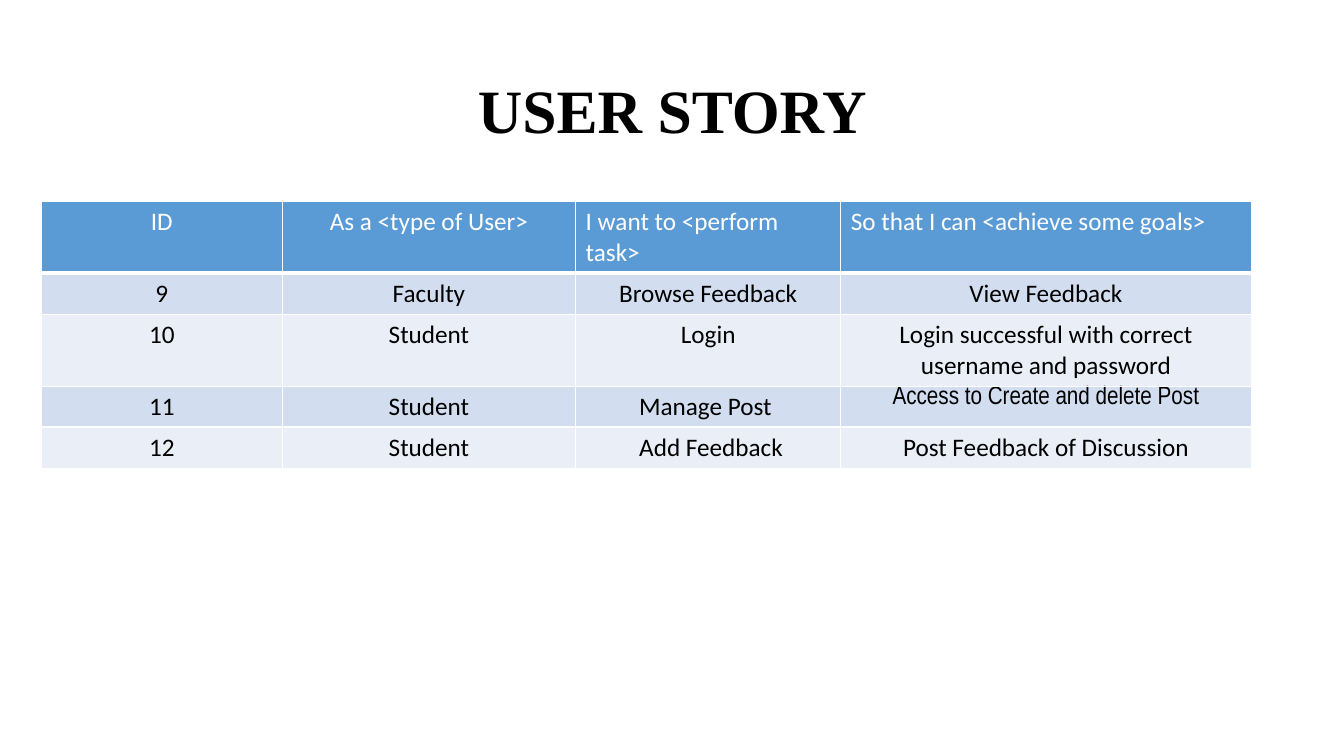
from lxml import etree
from pptx import Presentation
from pptx import util as u
from pptx.dml.color import RGBColor
from pptx.enum import text
from pptx.oxml.ns import qn

WHITE, BLACK, BLUE = "FFFFFF", "000000", "5B9BD5"
BANDS = ("D2DEEF", "EAEFF7")
COLUMN_WIDTHS = (2.39, 2.91, 2.63, 4.07)
ROW_HEIGHTS = (0.41, 0.41, 0.41, 0.23, 0.41)
STORIES = (
    ("ID", "As a <type of User>", "I want to <perform task>",
     "So that I can <achieve some goals>"),
    ("9", "Faculty", "Browse Feedback", "View Feedback"),
    ("10", "Student", "Login",
     "Login successful with correct username and password"),
    ("11", "Student", "Manage Post ", "Access to Create and delete Post"),
    ("12", "Student", " Add Feedback", "Post Feedback of Discussion"),
)
NARROW_CELL = (3, 3)


def colour(value):
    """Turn a hex string into a colour."""
    return RGBColor.from_string(value)


def write(frame, words, font, size, ink, align, bold=False):
    """Put one formatted run in the first paragraph of a text frame."""
    para = frame.paragraphs[0]
    para.alignment = align
    span = para.add_run()
    span.text = words
    span.font.name = font
    span.font.size = u.Pt(size)
    span.font.bold = bold
    span.font.color.rgb = colour(ink)
    return para


def add_borders(cell, bottom):
    """Draw white cell borders, with the bottom width in points."""
    properties = cell._tc.get_or_add_tcPr()
    for side, width in (("L", 1), ("R", 1), ("T", 1), ("B", bottom)):
        line = etree.SubElement(properties, qn(f"a:ln{side}"), w=str(u.Pt(width)))
        fill = etree.SubElement(line, qn("a:solidFill"))
        etree.SubElement(fill, qn("a:srgbClr"), val=WHITE)


def add_title(page, left, top, width, height):
    """Place the slide title in the given box."""
    title = page.shapes.title
    title.left, title.top = u.Inches(left), u.Inches(top)
    title.width, title.height = u.Inches(width), u.Inches(height)
    title.text_frame.vertical_anchor = text.MSO_ANCHOR.MIDDLE
    para = write(title.text_frame, "USER STORY", "Times New Roman", 44, BLACK,
                 text.PP_ALIGN.CENTER, bold=True)
    para.line_spacing = 0.9


def add_story_table(page, left, top):
    """Place the banded table of user stories at the given corner."""
    table = page.shapes.add_table(
        len(STORIES), len(COLUMN_WIDTHS), u.Inches(left), u.Inches(top),
        u.Inches(sum(COLUMN_WIDTHS)), u.Inches(sum(ROW_HEIGHTS))).table
    for column, width in zip(table.columns, COLUMN_WIDTHS):
        column.width = u.Inches(width)
    for row, height in zip(table.rows, ROW_HEIGHTS):
        row.height = u.Inches(height)
    for i, story in enumerate(STORIES):
        header = i == 0
        for j, words in enumerate(story):
            cell = table.cell(i, j)
            narrow = (i, j) == NARROW_CELL
            if narrow:
                cell.margin_top = cell.margin_bottom = 0
            add_borders(cell, 3 if header else 1)
            cell.fill.solid()
            cell.fill.fore_color.rgb = colour(BLUE if header else BANDS[(i - 1) % 2])
            write(cell.text_frame, words, "Arial Narrow" if narrow else "Calibri",
                  18, WHITE if header else BLACK,
                  text.PP_ALIGN.LEFT if header and j >= 2 else text.PP_ALIGN.CENTER)


def build_deck():
    """Build the one-slide deck and save it."""
    deck = Presentation()
    deck.slide_width, deck.slide_height = u.Inches(13.33), u.Inches(7.5)
    page = deck.slides.add_slide(deck.slide_layouts.get_by_name("Title Only"))
    add_title(page, 0.92, 0.4, 11.5, 1.45)
    add_story_table(page, 0.41, 2)
    deck.save("out.pptx")


build_deck()
